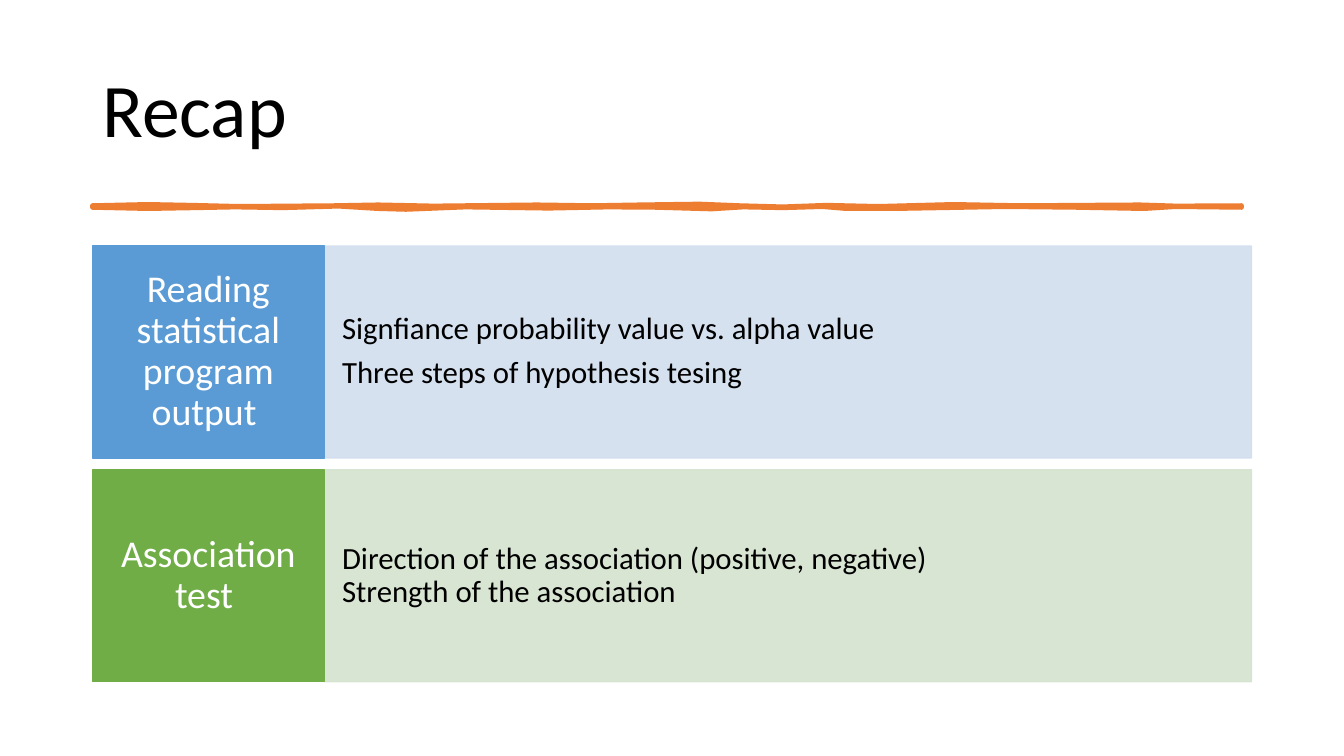
import dataclasses
import pptx
import pptx.util
import pptx.dml.color
import pptx.enum.shapes
import pptx.enum.text
import pptx.oxml.ns
import lxml.etree

Cm = pptx.util.Cm
Pt = pptx.util.Pt
ALIGN = pptx.enum.text.PP_ALIGN


@dataclasses.dataclass
class Theme:
    """Colours, font and type sizes of the slide."""
    font: str = "Calibri"
    dark: str = "000000"
    light: str = "FFFFFF"
    rule: str = "ED7D31"
    title: int = 54
    label: int = 27
    body: int = 22


THEME = Theme()
ROWS = [
    ("5B9BD5", "D2DEEF", "Reading statistical program output ",
     "Signfiance probability value vs. alpha value\nThree steps of hypothesis tesing"),
    ("70AD47", "D5E3CF", "Association test ",
     "Direction of the association (positive, negative) \vStrength of the association"),
]
UPPER = [(0, 0), (1.4, -0.03), (2.5, -0.01), (3.7, 0.02), (6.1, 0), (7.2, -0.02),
         (8.6, 0.01), (11.2, -0.02), (12.6, 0), (13.8, -0.02), (15.3, -0.04),
         (16.3, 0), (17.4, 0.03), (18.5, -0.01), (19.8, 0.02), (21.7, -0.03),
         (23.4, 0), (26.4, -0.02), (27.3, 0.01), (28.96, 0)]
LOWER = [(28.96, 0.05), (27.3, 0.03), (26.5, 0.08), (24.8, 0.05), (23, 0.03),
         (21.4, 0.06), (20.2, 0.08), (19, 0.08), (18.4, 0.03), (17.4, 0.06),
         (16.4, 0.04), (15.6, 0.09), (14.2, 0.05), (13, 0.04), (11.5, 0.07),
         (9.4, 0.04), (7.9, 0.1), (7.2, 0.08), (6.2, 0.02), (4.8, 0.06),
         (3.6, 0.04), (2.6, 0.06), (1.4, 0.08), (0, 0.05)]


def tint(fill, color, alpha=100):
    """Give a fill a solid colour with the given opacity."""
    fill.solid()
    fill.fore_color.rgb = pptx.dml.color.RGBColor.from_string(color)
    if alpha < 100:
        node = fill.fore_color._xFill[0]
        lxml.etree.SubElement(node, pptx.oxml.ns.qn("a:alpha"), val=str(alpha * 1000))


def paint(shape, color, width, alpha=100):
    """Fill and outline a shape in one colour."""
    shape.shadow.inherit = False
    tint(shape.fill, color, alpha)
    tint(shape.line.fill, color, alpha)
    shape.line.width = Pt(width)


def write(shape, text, size, color, align, pad=(0.25, 0.13), after=0):
    """Put formatted text into a shape."""
    frame = shape.text_frame
    frame.word_wrap = True
    frame.vertical_anchor = pptx.enum.text.MSO_ANCHOR.MIDDLE
    frame.margin_left = frame.margin_right = Cm(pad[0])
    frame.margin_top = frame.margin_bottom = Cm(pad[1])
    frame.text = text
    for para in frame.paragraphs:
        para.alignment = align
        para.line_spacing = 0.9
        para.space_after = Pt(after)
        for run in para.runs:
            run.font.name = THEME.font
            run.font.size = Pt(size)
            run.font.color.rgb = pptx.dml.color.RGBColor.from_string(color)


def add_title(slide, left, top, width, height):
    """Place the slide title."""
    box = slide.shapes.add_textbox(Cm(left), Cm(top), Cm(width), Cm(height))
    write(box, "Recap", THEME.title, THEME.dark, ALIGN.LEFT)


def add_rule(slide, left, top):
    """Draw the hand-drawn rule under the title."""
    pts = [(Cm(left + x), Cm(top + y)) for x, y in UPPER + LOWER]
    pen = slide.shapes.build_freeform(*pts[0])
    pen.add_line_segments(pts[1:], close=True)
    paint(pen.convert_to_shape(), THEME.rule, 3.25)


def add_block(slide, left, top, width, height, color, alpha=100):
    """Draw one plain coloured block."""
    rect = pptx.enum.shapes.MSO_SHAPE.RECTANGLE
    block = slide.shapes.add_shape(rect, Cm(left), Cm(top), Cm(width), Cm(height))
    paint(block, color, 1, alpha)
    return block


def add_row(slide, left, top, width, height, row):
    """Place a label block and its body block side by side."""
    dark, pale, label, text = row
    side = width / 5
    body = add_block(slide, left + side, top, width - side, height, pale, 90)
    write(body, text, THEME.body, THEME.dark, ALIGN.LEFT, (0.45, 1.35), 7.7)
    head = add_block(slide, left, top, side, height, dark)
    write(head, label, THEME.label, THEME.light, ALIGN.CENTER, (0.3, 0.53), 9.45)


def main():
    """Build the recap slide and save it."""
    deck = pptx.Presentation()
    deck.slide_width, deck.slide_height = Cm(33.87), Cm(19.05)
    slide = deck.slides.add_slide(deck.slide_layouts[6])
    left, width, height, gap = 2.33, 29.21, 5.34, 0.3
    add_title(slide, left, 1.01, width, 3.68)
    add_rule(slide, left, 5.18)
    for i, row in enumerate(ROWS):
        add_row(slide, left, 6.2 + i * (height + gap), width, height, row)
    deck.save("out.pptx")


if __name__ == "__main__":
    main()
